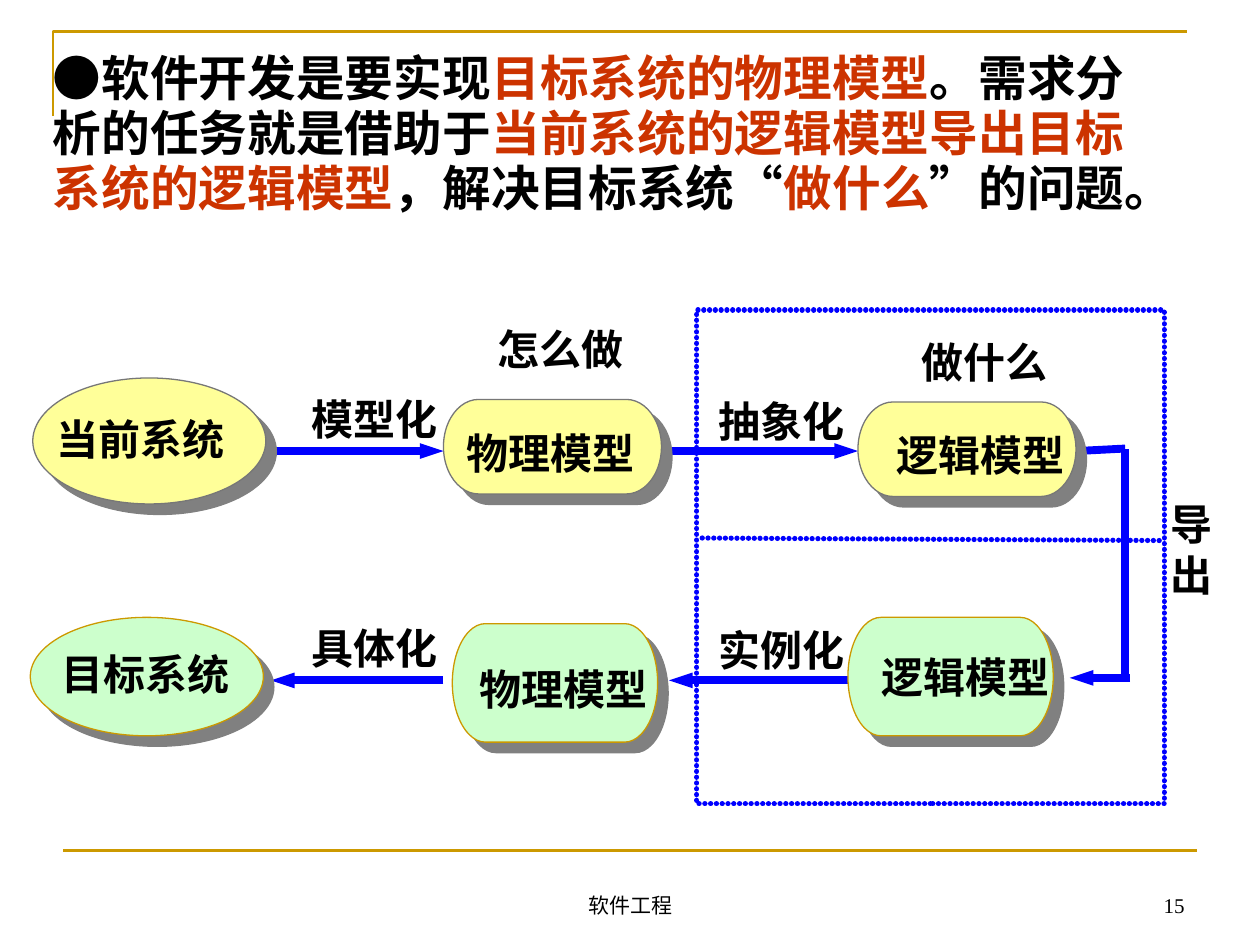
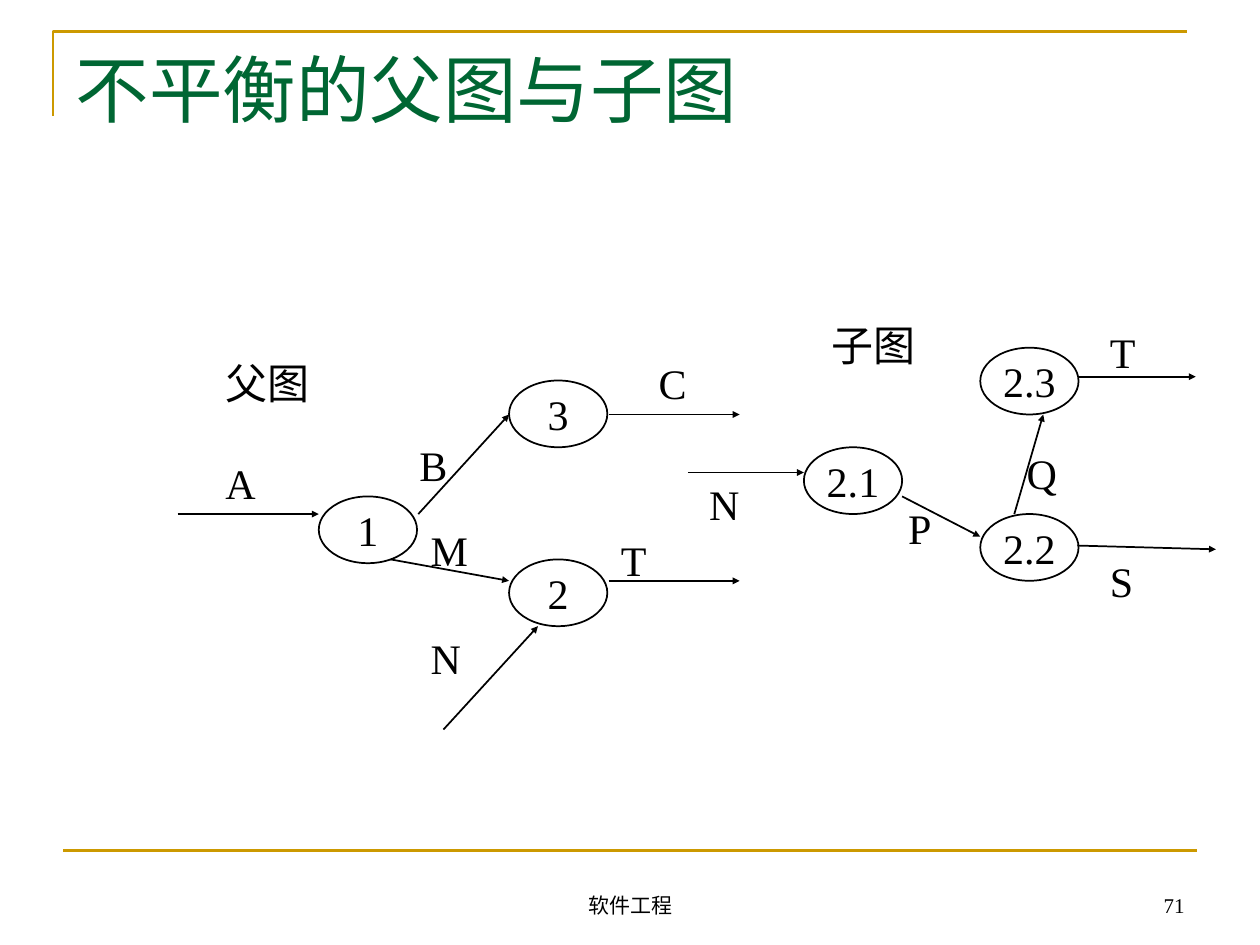
import pptx
import pptx.util
import pptx.dml.color
import pptx.enum.shapes
import pptx.enum.text
import pptx.oxml.ns
from lxml import etree

RGB = pptx.dml.color.RGBColor
SHAPE = pptx.enum.shapes.MSO_SHAPE
ALIGN = pptx.enum.text.PP_ALIGN
ANCHOR = pptx.enum.text.MSO_ANCHOR

GOLD = RGB(0xCC, 0x99, 0x00)
RED = RGB(0xCC, 0x33, 0x00)
GREEN = RGB(0x00, 0x66, 0x33)
BLUE = RGB(0x00, 0x00, 0xFF)
BLACK = RGB(0x00, 0x00, 0x00)
GRAY = RGB(0x77, 0x77, 0x77)
SHADE = RGB(0x80, 0x80, 0x80)
YELLOW = RGB(0xFF, 0xFF, 0x99)
MINT = RGB(0xCC, 0xFF, 0xCC)

SERIF = "Times New Roman"
SANS = "Noto Sans CJK SC"

# Grid: 10 columns by 7.5 rows of square cells
WIDE = pptx.util.Inches(10)
HIGH = pptx.util.Inches(7.5)
CELL = WIDE / 10
PAD = (0.1, 0.05)
NODE = (0.78, 0.53)


def grid(*cells):
    return [round(c * CELL) for c in cells]


def child(parent, tag, **attrs):
    node = etree.SubElement(parent, pptx.oxml.ns.qn(tag))
    for key, value in attrs.items():
        node.set(key, str(value))
    return node


def style(run, size, color=BLACK, face=SERIF, bold=False):
    font = run.font
    font.size = pptx.util.Pt(size)
    font.bold = bold
    font.color.rgb = color
    font.name = face
    props = run._r.get_or_add_rPr()
    props.set("lang", "zh-CN")
    child(props, "a:ea", typeface=SANS)


def setup(frame, pad=PAD, anchor=ANCHOR.TOP, wrap=True):
    frame.word_wrap = wrap
    frame.auto_size = pptx.enum.text.MSO_AUTO_SIZE.NONE
    frame.vertical_anchor = anchor
    frame.margin_left = frame.margin_right = grid(pad[0])[0]
    frame.margin_top = frame.margin_bottom = grid(pad[1])[0]


def fill_text(frame, text, align, size, **look):
    frame.text = text
    for para in frame.paragraphs:
        para.alignment = align
        for run in para.runs:
            style(run, size, **look)


def place(shape, box):
    shape.left, shape.top, shape.width, shape.height = grid(*box)


def label(slide, text, box, align=ALIGN.LEFT, size=24,
          pad=PAD, anchor=ANCHOR.TOP, **look):
    frame = slide.shapes.add_textbox(*grid(*box)).text_frame
    setup(frame, pad, anchor)
    fill_text(frame, text, align, size, **look)


def tag(slide, text, box):
    label(slide, text, box, ALIGN.RIGHT, pad=(0, 0.18), face=SANS, bold=True)


def stroke(line, color, width, dots=False):
    line.color.rgb = color
    line.width = pptx.util.Pt(width)
    if dots:
        line._ln.set("cap", "rnd")
        child(child(line._ln, "a:custDash"), "a:ds", d=100000, sp=10000)


def link(slide, ends, color, width, head=None, dots=False):
    """Draw a line; head is the (width, length) of its end arrow."""
    kind = pptx.enum.shapes.MSO_CONNECTOR.STRAIGHT
    item = slide.shapes.add_connector(kind, *grid(*ends))
    stroke(item.line, color, width, dots)
    if head:
        child(item.line._ln, "a:tailEnd", type="triangle", w=head[0], len=head[1])
    child(item._element.spPr, "a:effectLst")


def outline(slide, kind, box, color, width, fill=None, dots=False):
    shape = slide.shapes.add_shape(kind, *grid(*box))
    shape.shadow.inherit = False
    if fill is None:
        shape.fill.background()
    else:
        shape.fill.solid()
        shape.fill.fore_color.rgb = fill
    stroke(shape.line, color, width, dots)
    return shape


def block(slide, kind, box, fill, edge):
    """Draw a filled shape with a hard shadow to the lower right."""
    shape = outline(slide, kind, box, edge, 0.75, fill)
    effects = shape._element.spPr.find(pptx.oxml.ns.qn("a:effectLst"))
    cast = child(effects, "a:outerShdw", dist=pptx.util.Pt(8.5),
                 dir=45 * 60000, algn="ctr", rotWithShape=0)
    child(cast, "a:srgbClr", val=SHADE)


def node(slide, text, left, top):
    shape = outline(slide, SHAPE.OVAL, (left, top, *NODE), BLACK, 1)
    setup(shape.text_frame, anchor=ANCHOR.MIDDLE, wrap=False)
    fill_text(shape.text_frame, text, ALIGN.CENTER, 24)


def base(deck, layout, number):
    """Add a slide with the gold rules and the footer."""
    slide = deck.slides.add_slide(deck.slide_layouts[layout])
    path = slide.shapes.build_freeform(*grid(0.42, 0.92))
    path.add_line_segments([grid(0.42, 0.25), grid(9.42, 0.25)], close=False)
    corner = path.convert_to_shape()
    corner.shadow.inherit = False
    corner.fill.background()
    stroke(corner.line, GOLD, 1.5)
    link(slide, (0.5, 6.75, 9.5, 6.75), GOLD, 1.5)
    for text, left, width, align in [("软件工程", 3.42, 3.17, ALIGN.CENTER),
                                     (number, 7.17, 2.33, ALIGN.RIGHT)]:
        label(slide, text, (left, 6.83, width, 0.5), align, 12,
              anchor=ANCHOR.BOTTOM)
    return slide


def models(deck):
    slide = base(deck, 1, "15")

    # Opening statement, key phrases in red
    title = slide.shapes.title._element
    title.getparent().remove(title)
    body = slide.placeholders[1]
    place(body, (0.32, 0.36, 9.03, 1.62))
    setup(body.text_frame)
    para = body.text_frame.paragraphs[0]
    props = para._p.get_or_add_pPr()
    props.set("marL", "0")
    props.set("indent", "0")
    child(props, "a:buNone")
    para.line_spacing = 0.95
    para.space_before = pptx.util.Pt(0)
    for text, color in [
            ("●软件开发是要实现", BLACK),
            ("目标系统的物理模型", RED),
            ("。需求分析的任务就是借助于", BLACK),
            ("当前系统的逻辑模型导出目标系统的逻辑模型", RED),
            ("，解决目标系统“", BLACK),
            ("做什么", RED),
            ("”的问题。", BLACK)]:
        run = para.add_run()
        run.text = text
        style(run, 27.8, color, bold=True)

    # Flow arrows
    for ends in [(5.24, 3.58, 6.81, 3.58), (2.11, 3.58, 3.52, 3.58),
                 (8.97, 5.38, 8.49, 5.38), (6.81, 5.4, 5.31, 5.4),
                 (3.52, 5.4, 2.15, 5.4)]:
        link(slide, ends, BLUE, 4.5, ("sm", "med"))
    for ends in [(8.54, 3.58, 8.93, 3.56), (8.93, 5.38, 8.93, 3.56)]:
        link(slide, ends, BLUE, 4.5)

    # Systems and models
    pill = SHAPE.FLOWCHART_TERMINATOR
    for kind, box in [(SHAPE.OVAL, (0.26, 3, 1.85, 1)),
                      (pill, (3.52, 3.17, 1.73, 0.75)),
                      (pill, (6.81, 3.19, 1.73, 0.75))]:
        block(slide, kind, box, YELLOW, GRAY)
    for kind, box in [(SHAPE.OVAL, (0.24, 4.9, 1.85, 0.94)),
                      (pill, (3.59, 4.95, 1.63, 0.94)),
                      (pill, (6.73, 4.9, 1.63, 0.94))]:
        block(slide, kind, box, MINT, GOLD)

    # Names of blocks and steps
    for text, left, top, width in [
            ("当前系统", 0.06, 3.1, 1.72), ("目标系统", 0.1, 4.97, 1.72),
            ("物理模型", 3.36, 3.21, 1.68), ("物理模型", 3.51, 5.09, 1.63),
            ("逻辑模型", 6.38, 3.23, 2.07), ("逻辑模型", 6.86, 4.99, 1.47),
            ("模型化", 1.73, 2.94, 1.74), ("抽象化", 4.96, 2.96, 1.74),
            ("具体化", 1.73, 4.76, 1.74), ("实例化", 4.96, 4.78, 1.74),
            ("怎么做", 3.74, 2.39, 1.21), ("做什么", 6.57, 2.49, 1.74)]:
        tag(slide, text, (left, top, width, 0.77))
    tag(slide, "导\n出", (9.19, 3.78, 0.43, 1.17))

    # Dotted frame around the logical models
    outline(slide, SHAPE.RECTANGLE, (5.53, 2.46, 3.71, 3.92), BLUE, 3, dots=True)
    link(slide, (9.2, 4.29, 5.53, 4.27), BLUE, 3, dots=True)


def graphs(deck):
    slide = base(deck, 5, "71")
    title = slide.shapes.title
    place(title, (0.5, 0.3, 9, 1.25))
    setup(title.text_frame)
    fill_text(title.text_frame, "不平衡的父图与子图", ALIGN.LEFT, 42, color=GREEN)

    # Processes
    for text, left, top in [("1", 2.53, 3.94), ("3", 4.04, 3.02),
                            ("2", 4.04, 4.44), ("2.1", 6.38, 3.55),
                            ("2.3", 7.78, 2.76), ("2.2", 7.78, 4.08)]:
        node(slide, text, left, top)

    # Data flows: name, its place, arrow ends
    for text, left, top, ends in [
            ("A", 1.69, 3.58, (1.41, 4.08, 2.53, 4.08)),
            ("B", 3.23, 3.44, (3.32, 4.08, 4.04, 3.29)),
            ("M", 3.32, 4.11, (3.1, 4.44, 4.04, 4.61)),
            ("N", 3.32, 4.97, (3.52, 5.79, 4.27, 4.97)),
            ("T", 4.83, 4.19, (4.83, 4.61, 5.87, 4.61)),
            ("C", 5.13, 2.79, (4.83, 3.29, 5.87, 3.29)),
            ("N", 5.53, 3.75, (5.46, 3.75, 6.38, 3.75)),
            ("P", 7.11, 3.94, (7.16, 3.94, 7.78, 4.26)),
            ("Q", 8.05, 3.5, (8.05, 4.08, 8.28, 3.29)),
            ("S", 8.71, 4.36, (8.55, 4.33, 9.65, 4.36)),
            ("T", 8.71, 2.54, (8.56, 2.99, 9.49, 2.99))]:
        link(slide, ends, BLACK, 1, ("sm", "sm"))
        label(slide, text, (left, top, 0.67, 0.5))

    # Graph names
    label(slide, "父图", (1.69, 2.79, 1.23, 0.5))
    label(slide, "子图", (6.5, 2.49, 1.23, 0.5))


def main():
    deck = pptx.Presentation()
    deck.slide_width, deck.slide_height = WIDE, HIGH
    models(deck)
    graphs(deck)
    deck.save("out.pptx")


if __name__ == "__main__":
    main()
